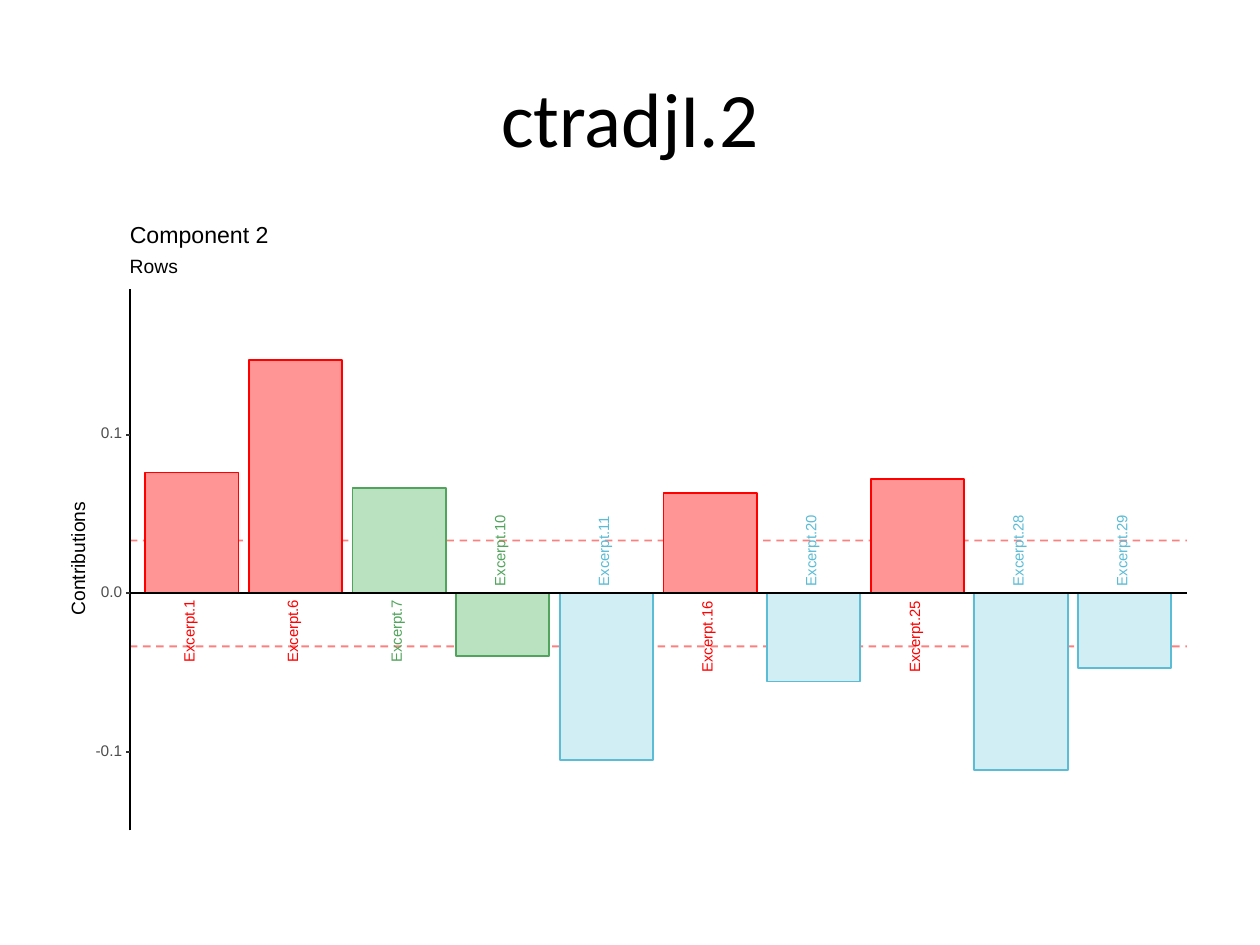
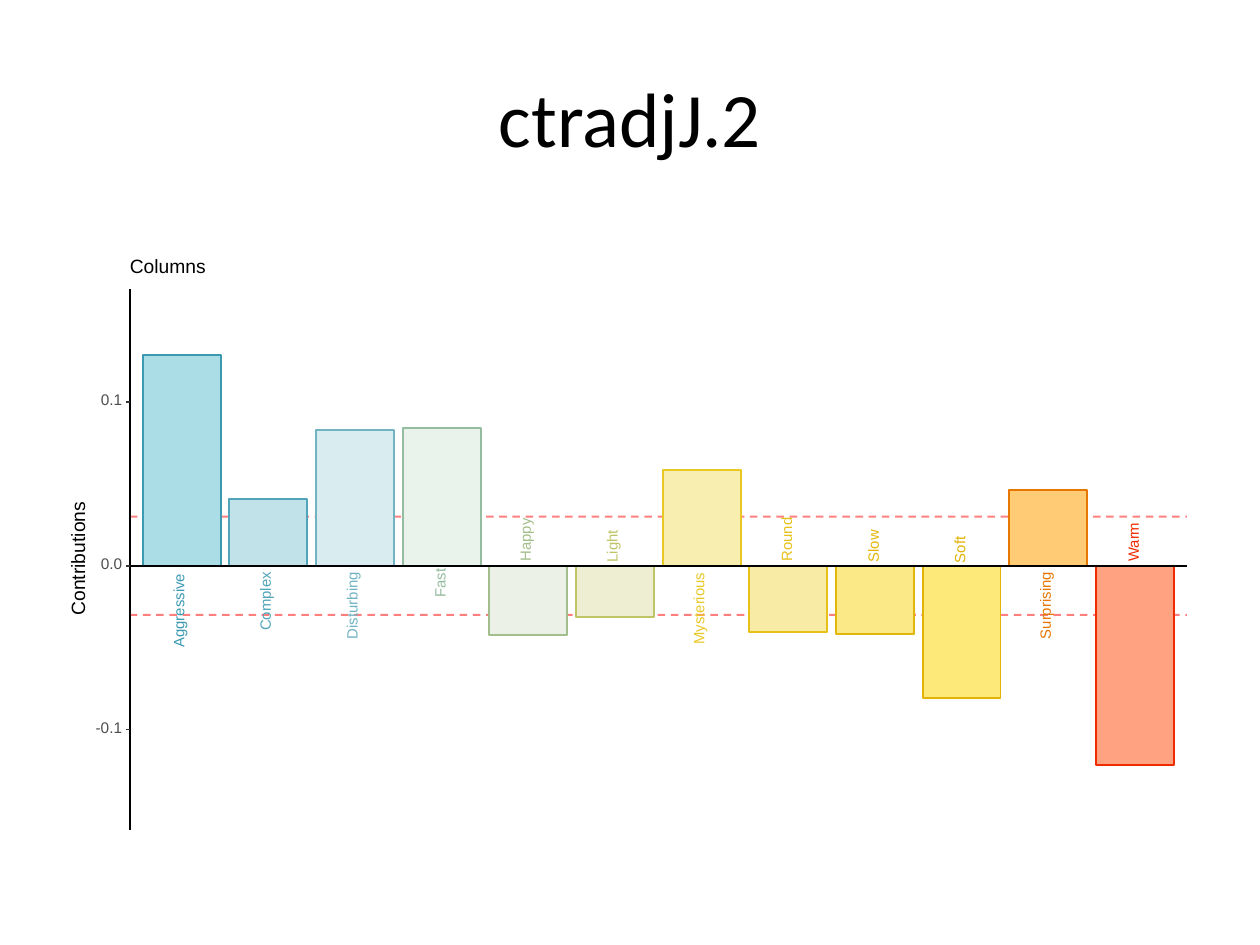
"""Build two slides of signed contribution bar plots, one for rows and one for columns."""
from lxml import etree
from pptx import Presentation
from pptx.dml.color import RGBColor
from pptx.enum.dml import MSO_LINE
from pptx.enum.shapes import MSO_CONNECTOR, MSO_SHAPE
from pptx.enum.text import MSO_ANCHOR, PP_ALIGN
from pptx.oxml.ns import qn
from pptx.util import Emu, Pt

PX = 9144
STRAIGHT = MSO_CONNECTOR.STRAIGHT
RECTANGLE = MSO_SHAPE.RECTANGLE
DASH = MSO_LINE.DASH
MIDDLE = MSO_ANCHOR.MIDDLE
CENTER = PP_ALIGN.CENTER
color = RGBColor.from_string

BLACK, WHITE = "000000", "FFFFFF"
TICK_TEXT, TICK_MARK, THRESHOLD = "4D4D4D", "333333", "FF0000"
LINE_WIDTH = Pt(1.07)
TEXT_SLACK = 2
AXIS_LEFT, AXIS_RIGHT, AXIS_TOP, AXIS_BOTTOM = 103, 942, 229, 659
RED = ("FF9595", "FF0000")
GREEN = ("BAE1C0", "50A45C")
BLUE = ("D2EEF5", "5BBCD6")

PLOTS = [
    {
        "title": "ctradjI.2",
        "headings": [("Rows", 207, 38, 11, 11), ("Component 2", 179, 110, 17, 13.2)],
        "zero": 471, "tick_step": 126, "threshold": 42,
        "bars": [
            ("Excerpt.1", 50, 96, *RED),
            ("Excerpt.6", 50, 185, *RED),
            ("Excerpt.7", 50, 84, *GREEN),
            ("Excerpt.10", 57, -50, *GREEN),
            ("Excerpt.11", 57, -132, *BLUE),
            ("Excerpt.16", 57, 80, *RED),
            ("Excerpt.20", 57, -70, *BLUE),
            ("Excerpt.25", 57, 91, *RED),
            ("Excerpt.28", 57, -140, *BLUE),
            ("Excerpt.29", 57, -59, *BLUE),
        ],
    },
    {
        "title": "ctradjJ.2",
        "headings": [("Columns", 207, 60, 11, 11)],
        "zero": 449, "tick_step": 130, "threshold": 39,
        "bars": [
            ("Aggressive", 59, 167, "ABDDE7", "3B9AB2"),
            ("Complex", 47, 53, "C2E2E9", "51A4B9"),
            ("Disturbing", 53, 108, "D9ECF0", "70B3C2"),
            ("Fast", 23, 109, "EAF2EC", "94BC9E"),
            ("Happy", 34, -55, "EBF1E6", "A3BE8A"),
            ("Light", 26, -41, "EEEFD2", "BFC464"),
            ("Mysterious", 57, 76, "F8EEAF", "E9C824"),
            ("Round", 35, -53, "F8EBA5", "E7C11A"),
            ("Slow", 26, -54, "FBE987", "E3B60A"),
            ("Soft", 21, -105, "FDE97A", "E2B205"),
            ("Surprising", 53, 60, "FFCC75", "E77700"),
            ("Warm", 32, -158, "FFA281", "EF2C00"),
        ],
    },
]


def add_line(shapes, x1, y1, x2, y2, hex_color, dashed=False):
    line = shapes.add_connector(STRAIGHT, *[Emu(round(v * PX)) for v in (x1, y1, x2, y2)])
    line.line.width = LINE_WIDTH
    line.line.color.rgb = color(hex_color)
    if dashed:
        line.line.dash_style = DASH
        tint = line._element.spPr.find(".//" + qn("a:srgbClr"))
        etree.SubElement(tint, qn("a:alpha"), val="50000")
    etree.SubElement(line._element.spPr, qn("a:effectLst"))


def add_text(shapes, text, left, top, width, height, size, hex_color, rotation=0):
    shift = TEXT_SLACK / 2 if rotation else 0
    bounds = (left - shift, top - shift, width + TEXT_SLACK, height)
    box = shapes.add_textbox(*[Emu(round(v * PX)) for v in bounds])
    box.rotation = rotation
    frame = box.text_frame
    frame.word_wrap = False
    frame.vertical_anchor = MIDDLE
    frame.margin_left = frame.margin_right = frame.margin_top = frame.margin_bottom = 0
    paragraph = frame.paragraphs[0]
    paragraph.text = text
    paragraph.line_spacing = Pt(size)
    paragraph.font.size = Pt(size)
    paragraph.font.name = "Arial"
    paragraph.font.color.rgb = color(hex_color)


presentation = Presentation()
presentation.slide_width = Emu(1000 * PX)
presentation.slide_height = Emu(750 * PX)

for plot in PLOTS:
    slide = presentation.slides.add_slide(presentation.slide_layouts[5])
    title = slide.shapes.title
    title.left, title.top, title.width, title.height = [Emu(v * PX) for v in (50, 30, 900, 125)]
    title.text_frame.text = plot["title"]
    title.text_frame.vertical_anchor = MIDDLE
    paragraph = title.text_frame.paragraphs[0]
    paragraph.alignment = CENTER
    paragraph.font.size = Pt(44)
    paragraph.font.name = "Calibri"
    paragraph.font.color.rgb = color(BLACK)

    shapes = slide.shapes.add_group_shape().shapes
    zero = plot["zero"]
    pitch = (AXIS_RIGHT - AXIS_LEFT) / (len(plot["bars"]) + 0.2)
    bar_width = 0.9 * pitch
    centers = [AXIS_LEFT + (index + 0.6) * pitch for index in range(len(plot["bars"]))]

    rectangles = [(50, 175, 900, 495, WHITE, WHITE)]
    for center, (label, label_width, rise, fill, outline) in zip(centers, plot["bars"]):
        rectangles.append((center - bar_width / 2, zero - max(rise, 0), bar_width, abs(rise), fill, outline))
    for index, (left, top, width, height, fill, outline) in enumerate(rectangles):
        rectangle = shapes.add_shape(RECTANGLE, *[Emu(round(v * PX)) for v in (left, top, width, height)])
        rectangle.shadow.inherit = False
        rectangle.fill.solid()
        rectangle.fill.fore_color.rgb = color(fill)
        rectangle.line.color.rgb = color(outline)
        rectangle.line.width = LINE_WIDTH
        if index == 0:
            for offset in (-plot["threshold"], plot["threshold"]):
                add_line(shapes, AXIS_LEFT, zero + offset, AXIS_RIGHT, zero + offset, THRESHOLD, True)

    for center, (label, label_width, rise, fill, outline) in zip(centers, plot["bars"]):
        label_height = 11 if set(label) & set("gpy") else 9
        side = 1 if rise > 0 else -1
        label_middle = zero + side * 0.6 * label_width
        add_text(shapes, label, center + 4 - (label_height + label_width) / 2,
                 label_middle - label_height / 2, label_width, label_height, 8.5, outline, 270)

    add_line(shapes, AXIS_LEFT, zero, AXIS_RIGHT, zero, BLACK)
    add_line(shapes, AXIS_LEFT, AXIS_BOTTOM, AXIS_LEFT, AXIS_TOP, BLACK)
    for step, label, width in ((-1, "-0.1", 21), (0, "0.0", 17), (1, "0.1", 17)):
        tick = zero - step * plot["tick_step"]
        add_text(shapes, label, 97 - width, tick - 5, width, 9, 8.8, TICK_TEXT)
        add_line(shapes, 100, tick, AXIS_LEFT, tick, TICK_MARK)

    add_text(shapes, "Contributions", 18, 438, 90, 11, 11, BLACK, 270)
    for heading, top, width, height, size in plot["headings"]:
        add_text(shapes, heading, AXIS_LEFT, top, width, height, size, BLACK)

presentation.save("out.pptx")
